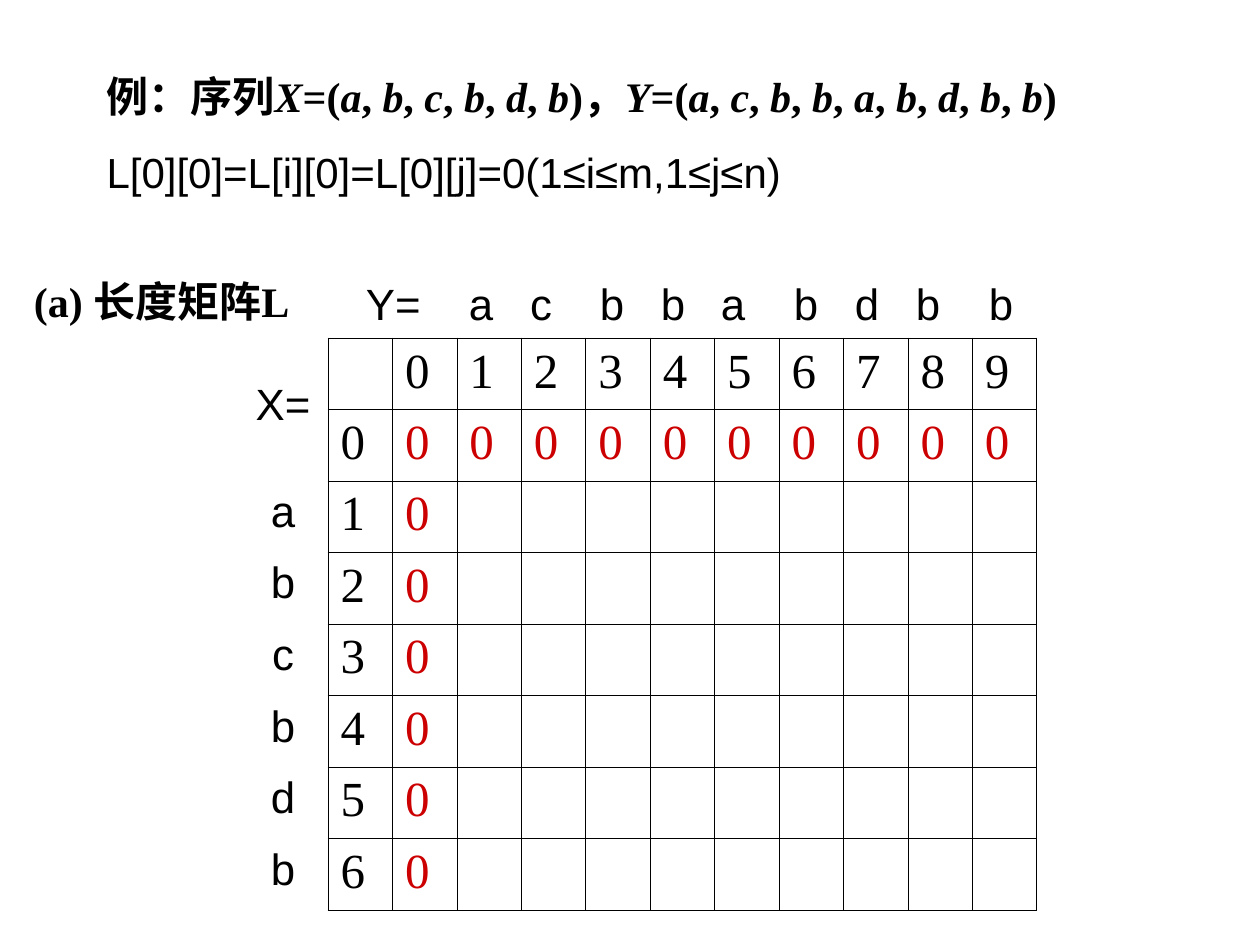
"""Build the LCS example slide with its initialised length matrix."""
from itertools import groupby

from lxml.etree import SubElement
from pptx import Presentation
from pptx.dml.color import RGBColor
from pptx.enum.text import MSO_ANCHOR as Anchor, MSO_AUTO_SIZE as AutoSize, PP_ALIGN as Align
from pptx.oxml.ns import qn
from pptx.util import Pt

SCALE = 914400 / 126
BLACK, RED = "000000", "CC0000"
SERIF, SANS = "Times New Roman", "Arial"


def px(*lengths):
    return [round(length * SCALE) for length in lengths]


def style(paragraph, size, face, color=BLACK, bold=False):
    for run in paragraph.runs:
        run.font.size = Pt(size)
        run.font.name = face
        run.font.bold = bold
        run.font.color.rgb = RGBColor.from_string(color)


prs = Presentation()
prs.slide_width, prs.slide_height = px(1260, 945)
slide = prs.slides.add_slide(prs.slide_layouts[5])

example = slide.shapes.title
example.left, example.top, example.width, example.height = px(94, 64, 1101, 140)
example_text = example.text_frame
example_text.word_wrap = True
example_text.auto_size = AutoSize.NONE
example_text.vertical_anchor = Anchor.TOP
sequences = example_text.paragraphs[0]
sequences.alignment = Align.LEFT
statement = "例：序列X=(a, b, c, b, d, b)，Y=(a, c, b, b, a, b, d, b, b)"
for is_symbol, chars in groupby(statement, lambda ch: ch.isascii() and ch.isalpha()):
    run = sequences.add_run()
    run.text = "".join(chars)
    run.font.italic = is_symbol
style(sequences, 24, SERIF, bold=True)
base_case = example_text.add_paragraph()
base_case.text = "L[0][0]=L[i][0]=L[0][j]=0(1≤i≤m,1≤j≤n)"
base_case.alignment = Align.LEFT
base_case.space_before = Pt(15)
style(base_case, 24, SANS)

caption = slide.shapes.add_textbox(*px(34, 275, 268, 57)).text_frame
caption.word_wrap = True
caption.margin_left = caption.margin_right = caption.margin_top = caption.margin_bottom = 0
caption.text = "(a) 长度矩阵L"
style(caption.paragraphs[0], 24, SERIF, bold=True)

matrix = slide.shapes.add_table(8, 11, *px(328, 338, 709, 572)).table
matrix.first_row = matrix.horz_banding = False
for row in range(8):
    for col in range(11):
        cell = matrix.cell(row, col)
        borders = cell._tc.get_or_add_tcPr()
        for side in ("lnL", "lnR", "lnT", "lnB"):
            line = SubElement(borders, qn(f"a:{side}"), w=str(Pt(0.45)))
            SubElement(SubElement(line, qn("a:solidFill")), qn("a:srgbClr"), val=BLACK)
        cell.fill.background()
        if row == 0 and col > 0:
            value, color = col - 1, BLACK
        elif row > 0 and col == 0:
            value, color = row - 1, BLACK
        elif row == 1 or (row > 1 and col == 1):
            value, color = 0, RED
        else:
            continue
        cell.text = str(value)
        style(cell.text_frame.paragraphs[0], 28, SERIF, color)

x_labels = slide.shapes.add_textbox(*px(243, 377, 80, 517)).text_frame
x_labels.word_wrap = True
x_labels.vertical_anchor = Anchor.MIDDLE
x_labels.margin_left = x_labels.margin_right = 0
x_labels.text = "\n".join(["X=", *"abcbdb"])
for index, label in enumerate(x_labels.paragraphs):
    label.alignment = Align.CENTER
    if index:
        label.space_before = Pt(31 if index == 1 else 11)
    style(label, 25, SANS)

y_labels = slide.shapes.add_textbox(*px(343, 270, 745, 66)).text_frame
y_labels.word_wrap = True
y_labels.vertical_anchor = Anchor.MIDDLE
y_labels.margin_left = px(23)[0]
y_labels.text = "\t".join(["Y=", *"acbbabdbb"])
y_line = y_labels.paragraphs[0]
tab_stops = SubElement(y_line._p.get_or_add_pPr(), qn("a:tabLst"))
for stop in px(115, 175, 246, 307, 367, 440, 501, 562, 635):
    SubElement(tab_stops, qn("a:tab"), pos=str(stop), algn="ctr")
style(y_line, 25, SANS)

prs.save("out.pptx")
